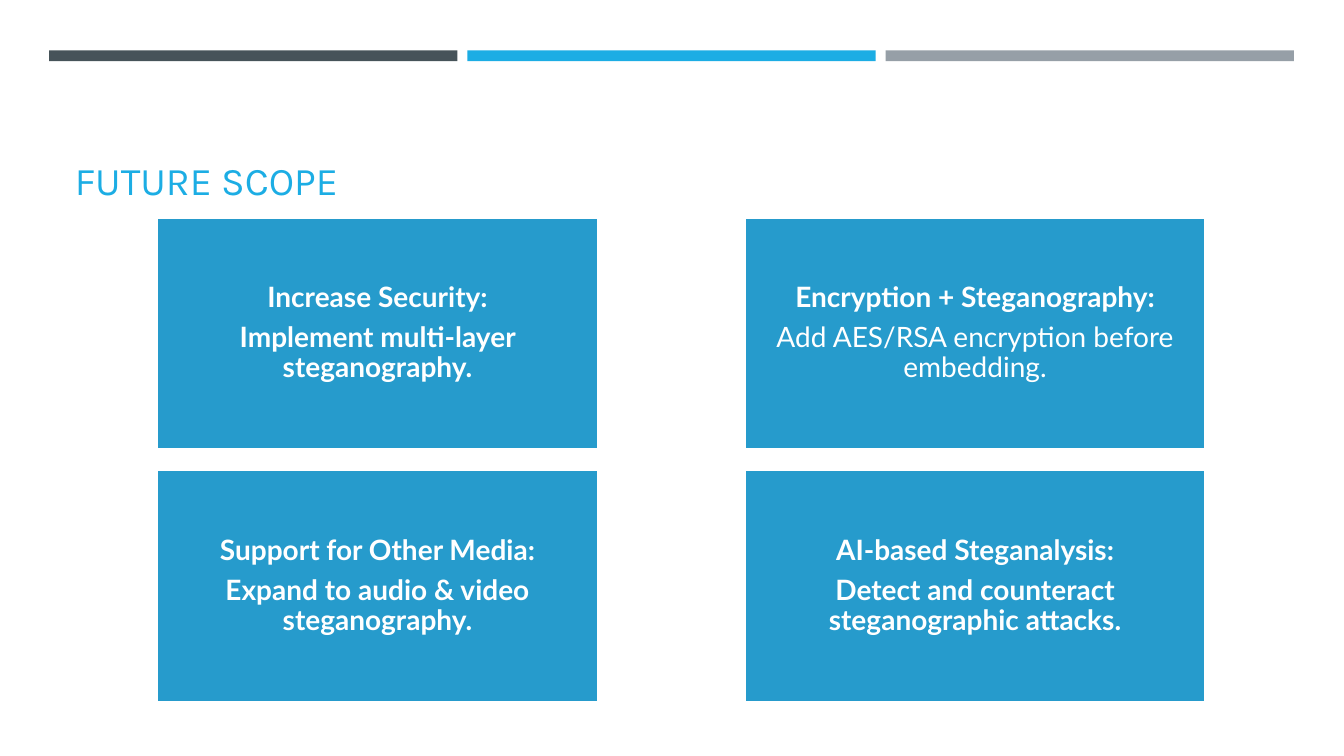
from dataclasses import dataclass
from pptx import Presentation
from pptx.dml.color import RGBColor
from pptx.enum.shapes import MSO_SHAPE
from pptx.enum.text import MSO_ANCHOR, MSO_AUTO_SIZE, PP_ALIGN
from pptx.util import Cm, Pt


@dataclass(frozen=True)
class Theme:
    dark: RGBColor = RGBColor.from_string("465359")
    blue: RGBColor = RGBColor.from_string("1CADE4")
    gray: RGBColor = RGBColor.from_string("969FA7")
    card: RGBColor = RGBColor.from_string("269BCC")
    white: RGBColor = RGBColor.from_string("FFFFFF")
    head: Pt = Pt(28)
    body: Pt = Pt(20)
    head_font: str = "Karla"
    body_font: str = "Lato"


theme = Theme()
deck = Presentation()
deck.slide_width, deck.slide_height = Cm(33.87), Cm(19.05)
slide = deck.slides.add_slide(deck.slide_layouts[5])


def add_box(left, top, width, height, color):
    """Add a flat rectangle without an outline, measured in centimetres."""
    box = slide.shapes.add_shape(
        MSO_SHAPE.RECTANGLE, Cm(left), Cm(top), Cm(width), Cm(height))
    box.shadow.inherit = False
    box.fill.solid()
    box.fill.fore_color.rgb = color
    box.line.fill.background()
    return box


# Top bars
for col, color in enumerate((theme.dark, theme.blue, theme.gray)):
    add_box(1.24 + col * 10.54, 1.27, 10.29, 0.27, color)

# Title
title = slide.shapes.title
title.left, title.top, title.width, title.height = Cm(1.63), Cm(1.96), Cm(30.63), Cm(3.3)
frame = title.text_frame
frame.text = "FUTURE SCOPE"
frame.auto_size = MSO_AUTO_SIZE.NONE
frame.vertical_anchor = MSO_ANCHOR.BOTTOM
line = frame.paragraphs[0]
line.alignment = PP_ALIGN.LEFT
line.font.size, line.font.name = theme.head, theme.head_font
line.font.color.rgb = theme.blue

# Cards, row by row: heading, detail, whether the detail is bold
cards = [
    ("Increase Security:", "Implement multi-layer steganography.", True),
    ("Encryption + Steganography:", "Add AES/RSA encryption before embedding.", False),
    ("Support for Other Media:", "Expand to audio & video steganography.", True),
    ("AI-based Steganalysis:", "Detect and counteract steganographic attacks.", True),
]
columns = [(3.94, 11.15), (18.77, 11.61)]

for index, (head, detail, bold) in enumerate(cards):
    row, col = divmod(index, 2)
    left, width = columns[col]
    card = add_box(left, 5.49 + row * 6.36, width, 5.84, theme.card)
    card.line.color.rgb = theme.white
    card.line.width = Pt(1.75)
    frame = card.text_frame
    frame.word_wrap = True
    frame.vertical_anchor = MSO_ANCHOR.MIDDLE
    frame.margin_left = frame.margin_right = Cm(0.36)
    frame.margin_top = frame.margin_bottom = Cm(0.38)
    frame.text = f"{head}\n{detail}"
    for line, strong in zip(frame.paragraphs, (True, bold)):
        line.alignment = PP_ALIGN.CENTER
        line.line_spacing = 0.9
        line.space_after = Pt(7)
        line.font.size, line.font.name = theme.body, theme.body_font
        line.font.bold = strong
        line.font.color.rgb = theme.white

deck.save("out.pptx")
